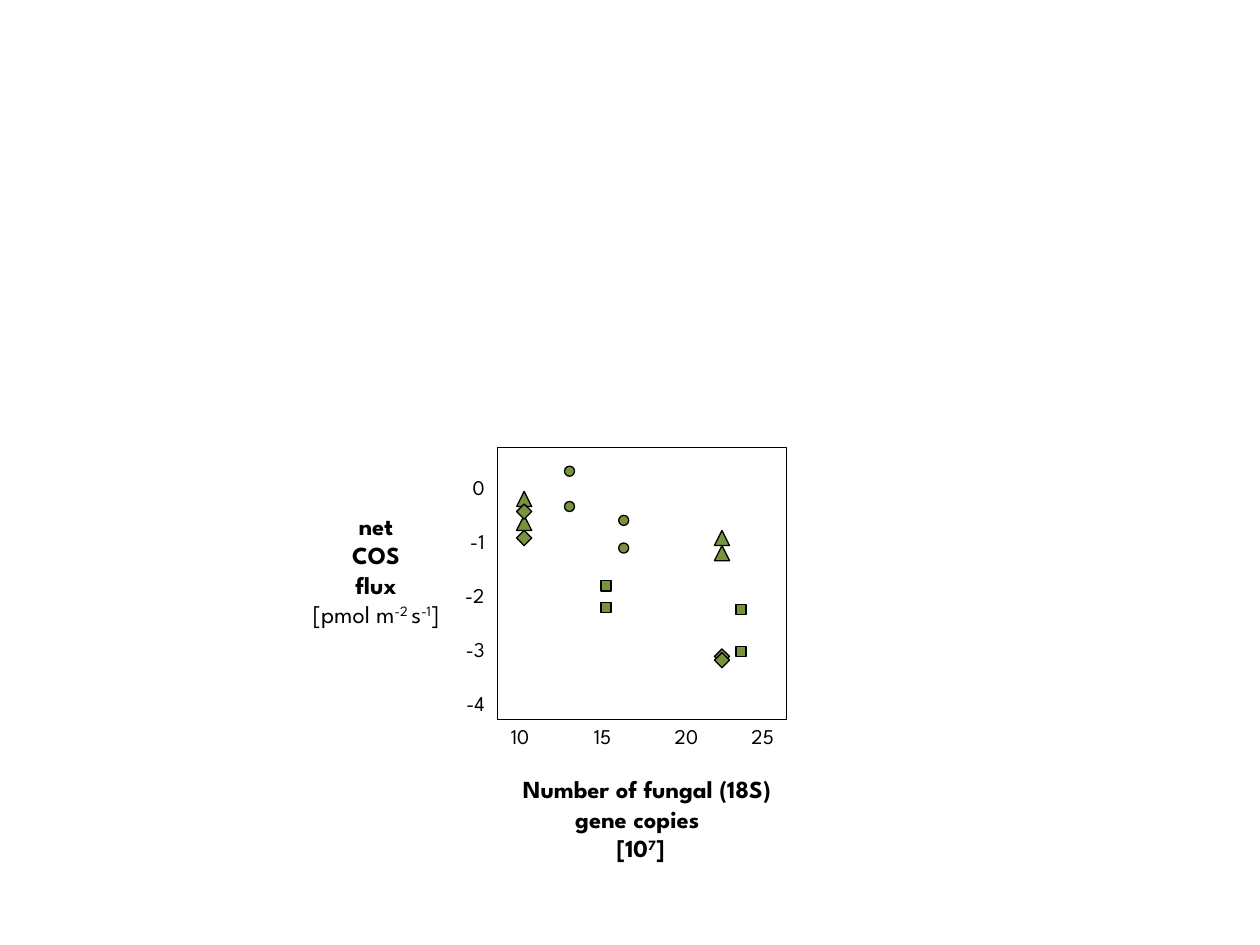
from pptx import Presentation
from pptx import util as u
from pptx.dml.color import RGBColor
from pptx.enum import shapes, text

COLUMNS, ROWS = 100, 75
COLORS = {"ink": "000000", "paper": "FFFFFF", "marker": "77933C"}
FONT = "League Spartan"
KIND = shapes.MSO_SHAPE

# Marker kind: (side in grid cells, left and top of each marker)
MARKERS = {
    KIND.OVAL: (0.8, [(44.8, 39.8), (44.8, 37), (49.1, 40.9), (49.1, 43.1)]),
    KIND.ISOSCELES_TRIANGLE: (1.2, [(41, 39), (41, 40.9), (56.7, 42.1), (56.7, 43.3)]),
    KIND.RECTANGLE: (0.8, [(47.7, 46.1), (47.7, 47.8), (58.4, 51.3), (58.4, 48)]),
    KIND.DIAMOND: (1.2, [(41, 42.1), (41, 40), (56.7, 51.5), (56.7, 51.8)]),
}
TICK_WIDTH = 4.5
X_TICK_RIGHTS = {"10": 43, "15": 49.5, "20": 56.4, "25": 62.4}
X_TICK_TOP = 56.9
Y_TICKS = ["0", "-1", "-2", "-3", "-4"]
Y_TICK_RIGHT, Y_TICK_TOP, Y_TICK_STEP = 39.45, 37.15, 4.3


def write(paragraph, content, size=12, bold=False, align=text.PP_ALIGN.CENTER, indent=0):
    """Fill a paragraph; each part between carets alternates with superscript."""
    paragraph.alignment = align
    if indent:
        paragraph._p.get_or_add_pPr().set("marL", str(u.Inches(indent)))
    for index, part in enumerate(content.split("^")):
        if not part:
            continue
        run = paragraph.add_run()
        run.text = part
        run.font.name = FONT
        run.font.size = u.Pt(size)
        run.font.bold = bold
        run.font.color.rgb = RGBColor.from_string(COLORS["ink"])
        if index % 2:
            run.font._element.set("baseline", "30000")


class ScatterSlide:
    """Places elements on a grid of COLUMNS by ROWS."""

    def __init__(self, presentation):
        self.slide = presentation.slides.add_slide(presentation.slide_layouts[6])
        self.column = presentation.slide_width / COLUMNS
        self.row = presentation.slide_height / ROWS

    def place(self, left, top, width, height):
        return (round(left * self.column), round(top * self.row),
                round(width * self.column), round(height * self.row))

    def outline(self, kind, *box, fill=None):
        shape = self.slide.shapes.add_shape(kind, *self.place(*box))
        shape.shadow.inherit = False
        if fill:
            shape.fill.solid()
            shape.fill.fore_color.rgb = RGBColor.from_string(COLORS[fill])
        else:
            shape.fill.background()
        shape.line.color.rgb = RGBColor.from_string(COLORS["ink"])
        shape.line.width = u.Pt(0.75)

    def label(self, lines, *box, fill="paper"):
        """Add a text box from (content, format) pairs, one per paragraph."""
        shape = self.slide.shapes.add_textbox(*self.place(*box))
        if fill:
            shape.fill.solid()
            shape.fill.fore_color.rgb = RGBColor.from_string(COLORS[fill])
        frame = shape.text_frame
        frame.word_wrap = False
        frame.auto_size = text.MSO_AUTO_SIZE.SHAPE_TO_FIT_TEXT
        for index, (content, style) in enumerate(lines):
            paragraph = frame.add_paragraph() if index else frame.paragraphs[0]
            write(paragraph, content, **style)

    def tick(self, content, right, top):
        self.label([(content, {"align": text.PP_ALIGN.RIGHT})],
                   right - TICK_WIDTH, top, TICK_WIDTH, 3, fill=None)


def main():
    presentation = Presentation()
    presentation.slide_width = u.Inches(10)
    presentation.slide_height = u.Inches(7.5)
    plot = ScatterSlide(presentation)
    title = {"size": 14, "bold": True}

    plot.label([("net", title), ("COS", title), ("flux", title),
                ("[pmol m^-2 ^s^-1^]", {"size": 14})],
               22.8, 40.05, 14.1, 10.4, fill=None)
    plot.label([("Number of fungal (18S)", {**title, "indent": 0.1}),
                ("gene copies ", title), ("[10^7^]", title)],
               38.1, 60.95, 25.5, 8.1)
    for index, content in enumerate(Y_TICKS):
        plot.tick(content, Y_TICK_RIGHT, Y_TICK_TOP + index * Y_TICK_STEP)
    for content, right in X_TICK_RIGHTS.items():
        plot.tick(content, right, X_TICK_TOP)

    for kind, (side, corners) in MARKERS.items():
        for left, top in corners:
            plot.outline(kind, left, top, side, side, fill="marker")
    plot.outline(KIND.RECTANGLE, 39.5, 35.5, 22.9, 21.6)

    presentation.save("out.pptx")


if __name__ == "__main__":
    main()
